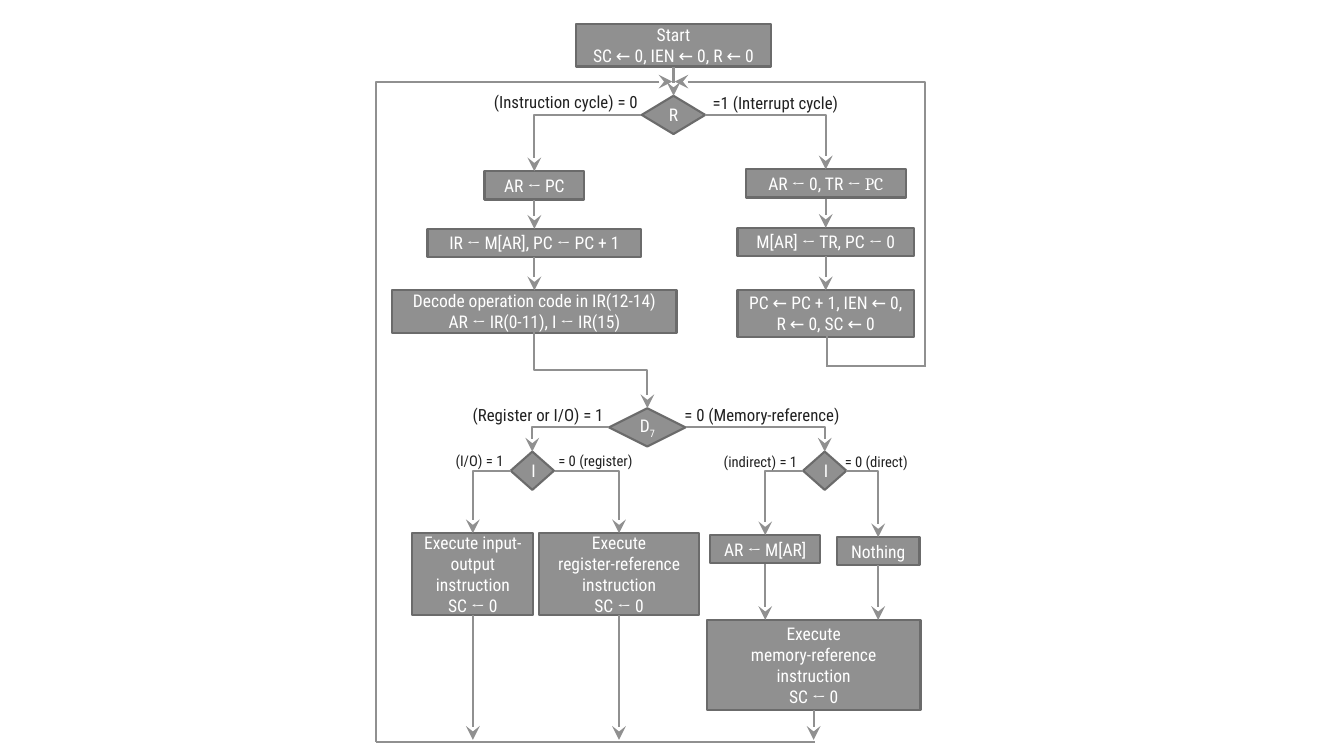
from dataclasses import dataclass

from lxml import etree
from pptx import Presentation
from pptx import util as u
from pptx.dml.color import RGBColor
from pptx.enum import shapes, text
from pptx.oxml import ns


@dataclass(frozen=True)
class Theme:
    fill: RGBColor = RGBColor(0x90, 0x90, 0x90)
    edge: RGBColor = RGBColor(0x6B, 0x6B, 0x6B)
    on_fill: RGBColor = RGBColor(0xFF, 0xFF, 0xFF)
    ink: RGBColor = RGBColor(0x21, 0x21, 0x21)
    font: str = "Roboto Condensed"
    symbol_font: str = "Cambria"
    step_size: float = 12.5
    label_size: float = 12
    small_size: float = 10.5
    stroke: float = 1.5


THEME = Theme()

# Centre lines of the flow's columns
MAIN, FETCH, INTERRUPT, OPCODE = 6.68, 5.3, 8.19, 6.42
REGISTER_I, MEMORY_I = 5.28, 8.18
IN_OUT, REGISTER, INDIRECT, DIRECT, MEMORY = 4.69, 6.14, 7.59, 8.71, 8.07
# Return loop levels and sides
MERGE_Y, RETURN_Y, LEFT_X, RIGHT_X = 0.81, 7.36, 3.73, 9.17


def apply_format(target, values):
    for name, value in values.items():
        setattr(target, name, value)


def add_run(paragraph, words, size, color, font=THEME.font):
    run = paragraph.add_run()
    run.text = words
    apply_format(run.font, {"size": u.Pt(size), "name": font})
    run.font.color.rgb = color
    return run


def add_node(slide, kind, centre, top, width, height, lines):
    """Filled shape; words between backticks take the symbol font."""
    node = slide.shapes.add_shape(
        kind, u.Inches(centre - width / 2), u.Inches(top), u.Inches(width), u.Inches(height))
    node.shadow.inherit = False
    node.fill.solid()
    node.fill.fore_color.rgb = THEME.fill
    node.line.color.rgb = THEME.edge
    node.line.width = u.Pt(THEME.stroke)
    frame = node.text_frame
    apply_format(frame, {"word_wrap": True, "vertical_anchor": text.MSO_ANCHOR.MIDDLE})
    for index, line in enumerate(lines):
        paragraph = frame.add_paragraph() if index else frame.paragraphs[0]
        paragraph.alignment = text.PP_ALIGN.CENTER
        for part, words in enumerate(line.split("`")):
            if words:
                font = THEME.symbol_font if part % 2 else THEME.font
                add_run(paragraph, words, THEME.step_size, THEME.on_fill, font)
    return node


def add_step(slide, centre, top, width, height, *lines):
    return add_node(slide, shapes.MSO_SHAPE.RECTANGLE, centre, top, width, height, lines)


def add_decision(slide, centre, top, width, name):
    return add_node(slide, shapes.MSO_SHAPE.DIAMOND, centre, top, width, 0.38, [name])


def add_label(slide, left, top, width, words, size):
    label = slide.shapes.add_textbox(
        u.Inches(left), u.Inches(top), u.Inches(width), u.Inches(0.3 if size > 11 else 0.28))
    apply_format(label.text_frame,
                 {"word_wrap": False, "auto_size": text.MSO_AUTO_SIZE.SHAPE_TO_FIT_TEXT})
    add_run(label.text_frame.paragraphs[0], words, size, THEME.ink)


def add_link(slide, start, end, arrow="tailEnd", kind=shapes.MSO_CONNECTOR.STRAIGHT):
    link = slide.shapes.add_connector(kind, *(u.Inches(value) for value in (*start, *end)))
    link.line.color.rgb = THEME.fill
    link.line.width = u.Pt(THEME.stroke)
    properties = link._element.spPr
    if arrow:
        etree.SubElement(properties.find(ns.qn("a:ln")), ns.qn(f"a:{arrow}"),
                         type="stealth", w="lg", len="lg")
    etree.SubElement(properties, ns.qn("a:effectLst"))
    return properties


def add_corner(slide, start, end, arrow="tailEnd"):
    """One bend: across from start, then vertically to end."""
    properties = add_link(slide, start, end, arrow, shapes.MSO_CONNECTOR.ELBOW)
    properties.find(ns.qn("a:prstGeom")).set("prst", "bentConnector2")


def add_jog(slide, start, end):
    """Two bends: down, across and down again, as a quarter-turned elbow."""
    centre_x, centre_y = (start[0] + end[0]) / 2, (start[1] + end[1]) / 2
    half_w, half_h = (end[0] - start[0]) / 2, (end[1] - start[1]) / 2
    properties = add_link(slide, (centre_x + half_h, centre_y - half_w),
                          (centre_x - half_h, centre_y + half_w),
                          kind=shapes.MSO_CONNECTOR.ELBOW)
    properties.find(ns.qn("a:xfrm")).set("rot", "16200000")


def add_links(slide):
    # Straight arrows down each column
    for column, top, bottom in (
            (MAIN, 0.66, 0.95), (FETCH, 1.98, 2.27), (FETCH, 2.55, 2.88),
            (INTERRUPT, 1.97, 2.26), (INTERRUPT, 2.54, 2.88),
            (INDIRECT, 5.6, 6.15), (DIRECT, 5.61, 6.15),
            (IN_OUT, 6.1, 7.34), (REGISTER, 6.1, 7.34), (MEMORY, 7.04, 7.34)):
        add_link(slide, (column, top), (column, bottom))

    # Branches out of the decisions
    for start, end in (
            ((6.36, 1.14), (FETCH, 1.7)), ((6.99, 1.14), (INTERRUPT, 1.68)),
            ((6.04, 4.24), (REGISTER_I, 4.48)), ((6.8, 4.24), (MEMORY_I, 4.48)),
            ((5.07, 4.67), (IN_OUT, 5.29)), ((5.5, 4.67), (REGISTER, 5.29)),
            ((7.96, 4.67), (INDIRECT, 5.31)), ((8.39, 4.67), (DIRECT, 5.33))):
        add_corner(slide, start, end)
    add_jog(slide, (FETCH, 3.29), (OPCODE, 4.05))

    # Return loops to the top
    add_link(slide, (8.08, RETURN_Y), (LEFT_X, RETURN_Y), arrow=None)
    add_corner(slide, (6.67, MERGE_Y), (LEFT_X, RETURN_Y), arrow="headEnd")
    add_link(slide, (8.2, 3.28), (8.2, 3.64), arrow=None)
    add_link(slide, (8.2, 3.63), (9.18, 3.63), arrow=None)
    add_corner(slide, (6.69, MERGE_Y), (RIGHT_X, 3.63), arrow="headEnd")


def main():
    deck = Presentation()
    deck.slide_width, deck.slide_height = u.Inches(13.33), u.Inches(7.5)
    slide = deck.slides.add_slide(deck.slide_layouts[6])

    # Steps
    for step in (
            (MAIN, 0.24, 1.93, 0.42, "Start", "SC ← 0, IEN ← 0, R ← 0"),
            (FETCH, 1.7, 0.99, 0.28, "AR `← `PC"),
            (FETCH, 2.27, 2.12, 0.28, "IR `← `M[AR], PC `←` PC + 1"),
            (FETCH, 2.88, 2.82, 0.42, "Decode operation code in IR(12-14)",
             "AR `←` IR(0-11), I `←` IR(15)"),
            (INTERRUPT, 1.68, 1.59, 0.28, "AR `← `0, TR `← PC`"),
            (INTERRUPT, 2.26, 1.75, 0.28, "M[AR] `← `TR, PC `←` 0"),
            (INTERRUPT, 2.88, 1.75, 0.46, "PC ← PC + 1, IEN ← 0, R ← 0, SC ← 0"),
            (IN_OUT, 5.29, 1.2, 0.81, "Execute input-output instruction", "SC `←` 0"),
            (REGISTER, 5.29, 1.59, 0.81, "Execute", "register-reference instruction",
             "SC `←` 0"),
            (INDIRECT, 5.31, 1.09, 0.28, "AR `← `M[AR]"),
            (DIRECT, 5.33, 0.82, 0.28, "Nothing"),
            (MEMORY, 6.15, 2.12, 0.89, "Execute", "memory-reference instruction",
             "SC `←` 0")):
        add_step(slide, *step)

    # Decisions
    add_decision(slide, MAIN, 0.95, 0.63, "R")
    opcode = add_decision(slide, OPCODE, 4.05, 0.76, "D")
    subscript = add_run(opcode.text_frame.paragraphs[0], "7", THEME.step_size, THEME.on_fill)
    subscript.font._element.set("baseline", "-25000")
    for centre in (REGISTER_I, MEMORY_I):
        add_decision(slide, centre, 4.48, 0.43, "I")

    add_links(slide)

    # Branch labels
    for label in (
            (4.8, 0.86, 1.67, "(Instruction cycle) = 0", THEME.label_size),
            (6.97, 0.87, 1.54, "=1 (Interrupt cycle)", THEME.label_size),
            (4.59, 3.97, 1.55, "(Register or I/O) = 1", THEME.label_size),
            (6.69, 3.97, 1.84, "= 0 (Memory-reference)", THEME.label_size),
            (4.42, 4.43, 0.7, "(I/O) = 1", THEME.small_size),
            (5.44, 4.43, 0.96, "= 0 (register)", THEME.small_size),
            (7.08, 4.44, 0.96, "(indirect) = 1", THEME.small_size),
            (8.28, 4.44, 0.85, "= 0 (direct)", THEME.small_size)):
        add_label(slide, *label)

    deck.save("out.pptx")


if __name__ == "__main__":
    main()
